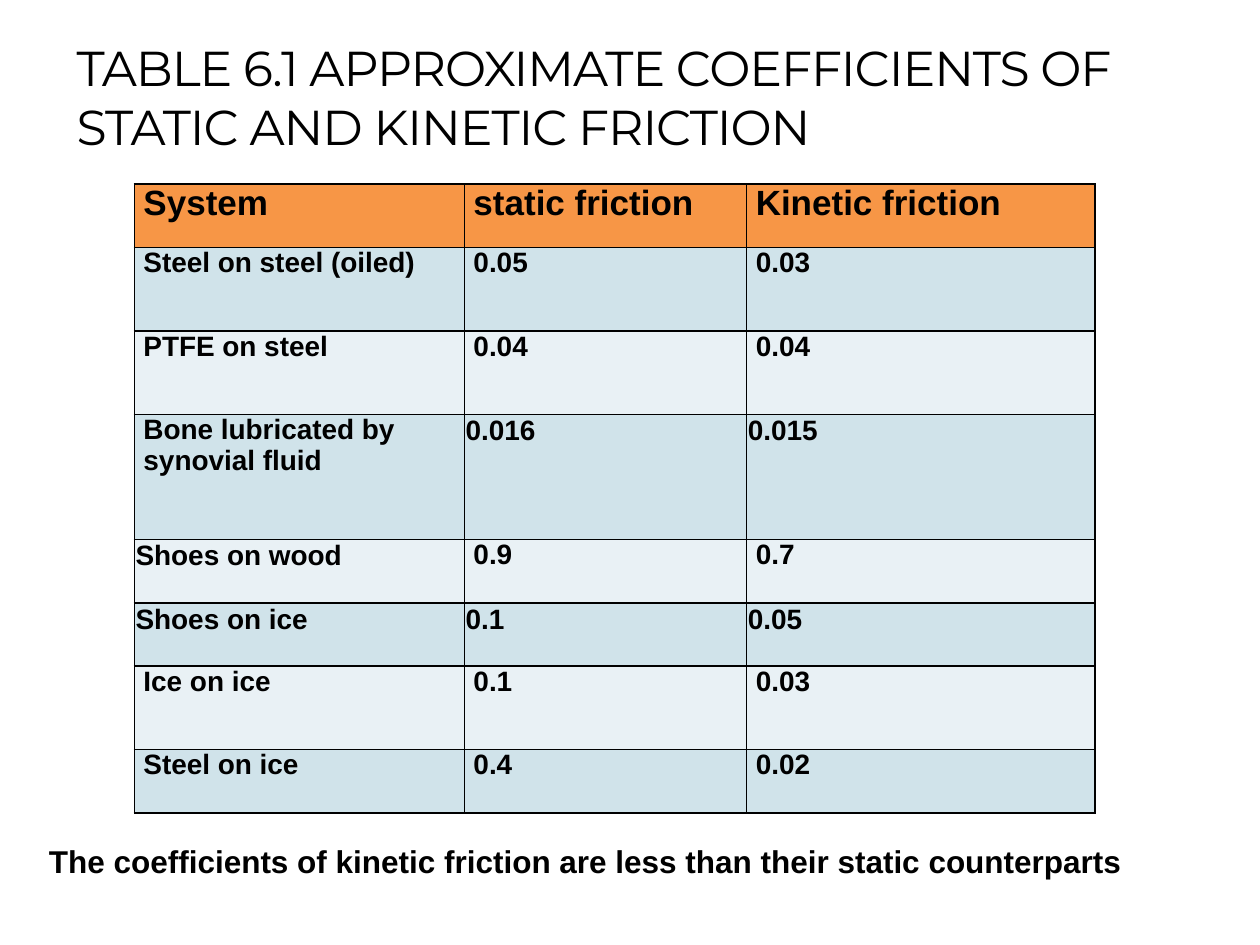
from lxml import etree
from pptx import Presentation
from pptx.dml.color import RGBColor
from pptx.enum import text
from pptx.oxml import ns
from pptx.util import Pt

HUES = {"ink": "000000", "head": "F79646", "odd": "D0E3EA", "even": "E9F1F5"}
ROWS = [
    ("System", "static friction", "Kinetic friction"),
    ("Steel on steel (oiled)", "0.05", "0.03"),
    ("PTFE on steel", "0.04", "0.04"),
    ("Bone lubricated by synovial fluid", "0.016", "0.015"),
    ("Shoes on wood", "0.9", "0.7"),
    ("Shoes on ice", "0.1", "0.05"),
    ("Ice on ice", "0.1", "0.03"),
    ("Steel on ice", "0.4", "0.02"),
]
WIDTHS = (188.6, 161.3, 199.1)
HEIGHTS = (36.2, 47.7, 47.7, 71.5, 36.2, 36.2, 47.7, 36.2)
TIGHT = {(3, 1), (3, 2), (4, 0), (5, 0), (5, 1), (5, 2)}


def hue(name):
    """Return the named colour."""
    return RGBColor.from_string(HUES[name])


def write(frame, words, size, face="Arial", bold=True):
    """Add one styled run to the first paragraph and return it."""
    run = frame.paragraphs[0].add_run()
    run.text = words
    font = run.font
    font.name, font.size, font.bold = face, Pt(size), bold
    font.color.rgb = hue("ink")
    return run


def label(slide, box, anchor):
    """Add a wrapping text box and return its frame."""
    frame = slide.shapes.add_textbox(*map(Pt, box)).text_frame
    frame.word_wrap = True
    frame.vertical_anchor = anchor
    return frame


def title(slide, box):
    """Place the slide title."""
    frame = label(slide, box, text.MSO_ANCHOR.BOTTOM)
    words = "TABLE 6.1 APPROXIMATE COEFFICIENTS OF STATIC AND KINETIC FRICTION"
    run = write(frame, words, 28, "Montserrat", False)
    run._r.get_or_add_rPr().set("spc", "-60")


def border(cell):
    """Draw a thin line on each side of a cell."""
    props = cell._tc.get_or_add_tcPr()
    for side in "LRTB":
        line = etree.SubElement(props, ns.qn(f"a:ln{side}"), w=str(Pt(1)))
        fill = etree.SubElement(line, ns.qn("a:solidFill"))
        etree.SubElement(fill, ns.qn("a:srgbClr"), val=HUES["ink"])


def grid(slide, left, top):
    """Place the table of friction coefficients."""
    box = left, top, sum(WIDTHS), sum(HEIGHTS)
    table = slide.shapes.add_table(len(ROWS), len(WIDTHS), *map(Pt, box)).table
    for col, width in zip(table.columns, WIDTHS):
        col.width = Pt(width)
    for i, (row, height) in enumerate(zip(ROWS, HEIGHTS)):
        table.rows[i].height = Pt(height)
        tone = "head" if i == 0 else "odd" if i % 2 else "even"
        for j, words in enumerate(row):
            cell = table.cell(i, j)
            border(cell)
            cell.fill.solid()
            cell.fill.fore_color.rgb = hue(tone)
            side, edge = (0.7, 0.7) if (i, j) in TIGHT else (5.2, 0)
            cell.margin_left = cell.margin_right = Pt(side)
            cell.margin_top = cell.margin_bottom = Pt(edge)
            write(cell.text_frame, words, 16 if i else 20)


def note(slide, box):
    """Place the closing remark."""
    frame = label(slide, box, text.MSO_ANCHOR.TOP)
    words = "The coefficients of kinetic friction are less than their static counterparts"
    write(frame, words, 18)


def main():
    """Build and save the slide."""
    deck = Presentation()
    deck.slide_width, deck.slide_height = Pt(720), Pt(540)
    slide = deck.slides.add_slide(deck.slide_layouts[6])
    title(slide, (36.7, 15.8, 635, 76.3))
    grid(slide, 76.8, 105.2)
    note(slide, (20.9, 477.4, 635, 29))
    deck.save("out.pptx")


if __name__ == "__main__":
    main()
